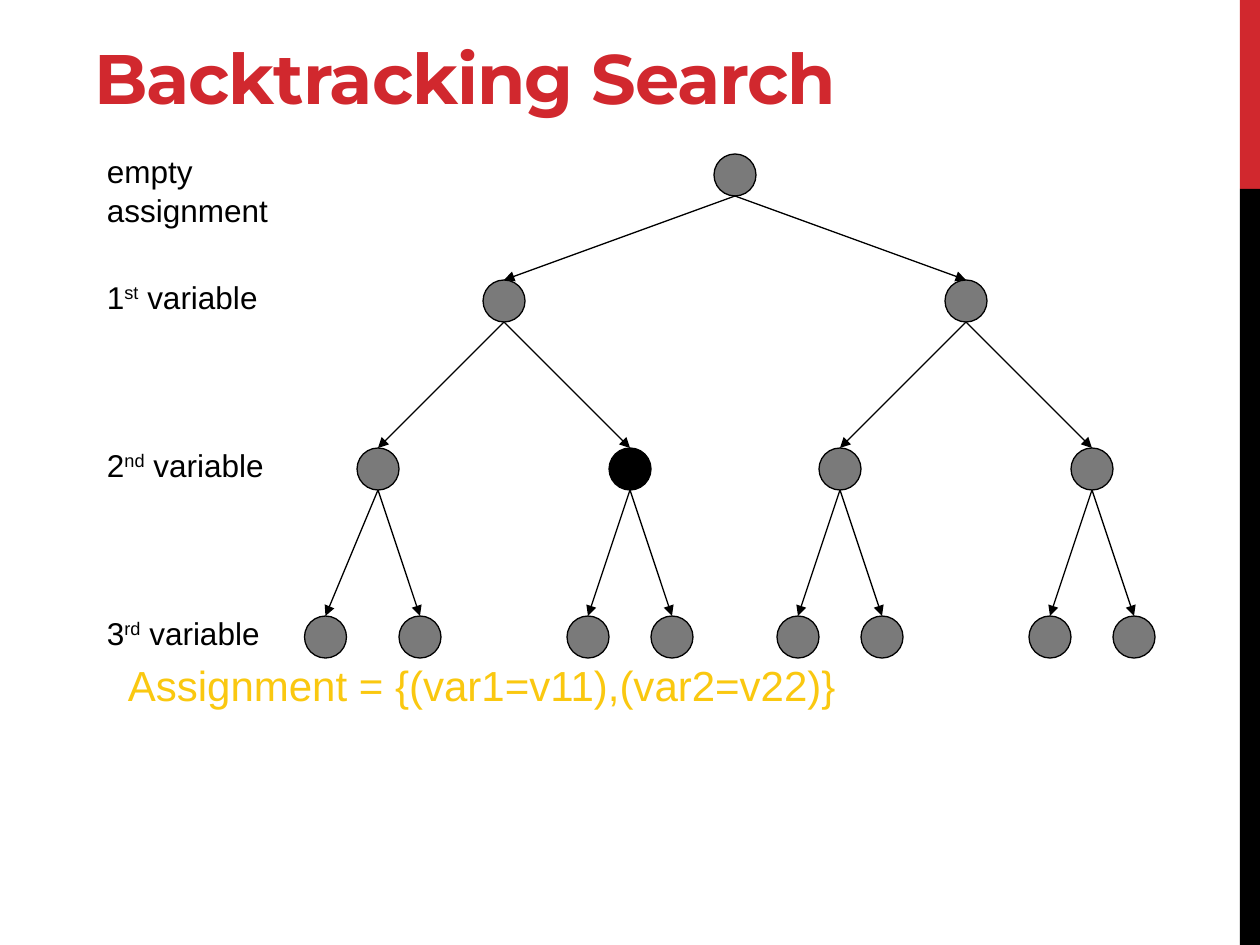
from typing import NamedTuple

from lxml.etree import SubElement
from pptx import Presentation
from pptx.dml.color import RGBColor
from pptx.enum.shapes import MSO_CONNECTOR, MSO_SHAPE
from pptx.enum.text import MSO_ANCHOR
from pptx.oxml.ns import qn
from pptx.util import Pt

RED = RGBColor(0xD1, 0x28, 0x2E)
BLACK = RGBColor(0, 0, 0)
GREY = RGBColor(0x7A, 0x7A, 0x7A)
YELLOW = RGBColor(0xFA, 0xC8, 0x10)

NODE_SIZE = 24
LABEL_RISE = 6
CURRENT = (2, 1)  # level and position of the node being explored


class Level(NamedTuple):
    top: float
    centers: list[float]
    label: list[str]  # plain text, superscript, plain text
    label_width: float
    right_inset: float = 0


LEVELS = [
    Level(88, [420], ["empty assignment"], 160, 40),
    Level(160, [288, 552], ["1", "st", " variable"], 102),
    Level(256, [216, 360, 480, 624], ["2", "nd", " variable"], 106),
    Level(352, [186, 240, 336, 384, 456, 504, 600, 648],
          ["3", "rd", " variable"], 103),
]


def add_filled(s, kind, x: float, y: float, w: float, h: float, color: RGBColor):
    sp = s.shapes.add_shape(kind, Pt(x), Pt(y), Pt(w), Pt(h))
    sp.shadow.inherit = False
    sp.fill.solid()
    sp.fill.fore_color.rgb = color
    sp.line.fill.background()
    return sp


def add_node(s, center: float, top: float, color: RGBColor) -> None:
    sp = add_filled(s, MSO_SHAPE.OVAL, center - NODE_SIZE / 2, top,
                    NODE_SIZE, NODE_SIZE, color)
    sp.line.color.rgb = BLACK
    sp.line.width = Pt(0.75)


def add_arrow(s, x1: float, y1: float, x2: float, y2: float) -> None:
    line = s.shapes.add_connector(MSO_CONNECTOR.STRAIGHT,
                                  Pt(x1), Pt(y1), Pt(x2), Pt(y2))
    line.line.color.rgb = BLACK
    line.line.width = Pt(0.75)
    SubElement(line.line._get_or_add_ln(), qn("a:tailEnd"), type="triangle")
    SubElement(line._element.spPr, qn("a:effectLst"))


def add_text(s, x: float, y: float, w: float, h: float, parts: list[str],
             size: float, color: RGBColor, font: str = "Arial",
             right_inset: float = 0):
    """Add one paragraph; every second part is superscript."""
    tf = s.shapes.add_textbox(Pt(x), Pt(y), Pt(w), Pt(h)).text_frame
    tf.word_wrap = True
    tf.margin_right = Pt(right_inset)
    p = tf.paragraphs[0]
    for i, part in enumerate(parts):
        r = p.add_run()
        r.text = part
        r.font.name = font
        r.font.size = Pt(size)
        r.font.color.rgb = color
        if i % 2:
            r._r.get_or_add_rPr().set("baseline", "30000")
    return tf


def add_title(s) -> None:
    tf = add_text(s, 36, 12, 673, 59, [" Backtracking Search"], 40, RED,
                  "Montserrat")
    tf.vertical_anchor = MSO_ANCHOR.BOTTOM
    r = tf.paragraphs[0].runs[0]
    r.font.bold = True
    r._r.get_or_add_rPr().set("spc", "-60")


def add_tree(s) -> None:
    for depth, level in enumerate(LEVELS):
        for i, center in enumerate(level.centers):
            add_node(s, center, level.top,
                     BLACK if (depth, i) == CURRENT else GREY)
    for parent, child in zip(LEVELS, LEVELS[1:]):
        for i, center in enumerate(child.centers):
            add_arrow(s, parent.centers[i // 2], parent.top + NODE_SIZE,
                      center, child.top)
    for level in LEVELS:
        tf = add_text(s, 54, level.top - LABEL_RISE, level.label_width, 29,
                      level.label, 18, BLACK, right_inset=level.right_inset)
        tf.paragraphs[0].line_spacing = 1.05


def main() -> None:
    prs = Presentation()
    prs.slide_width, prs.slide_height = Pt(720), Pt(540)
    s = prs.slides.add_slide(prs.slide_layouts[6])
    add_filled(s, MSO_SHAPE.RECTANGLE, 708.5, 0, 11.5, 108, RED)
    add_filled(s, MSO_SHAPE.RECTANGLE, 708.5, 108, 11.5, 432, BLACK)
    add_title(s)
    add_tree(s)
    tf = add_text(s, 66, 372, 441, 36,
                  ["Assignment = {(var1=v11),(var2=v22)}"], 24, YELLOW)
    tf.paragraphs[0].line_spacing = 1.05
    prs.save("out.pptx")


if __name__ == "__main__":
    main()
